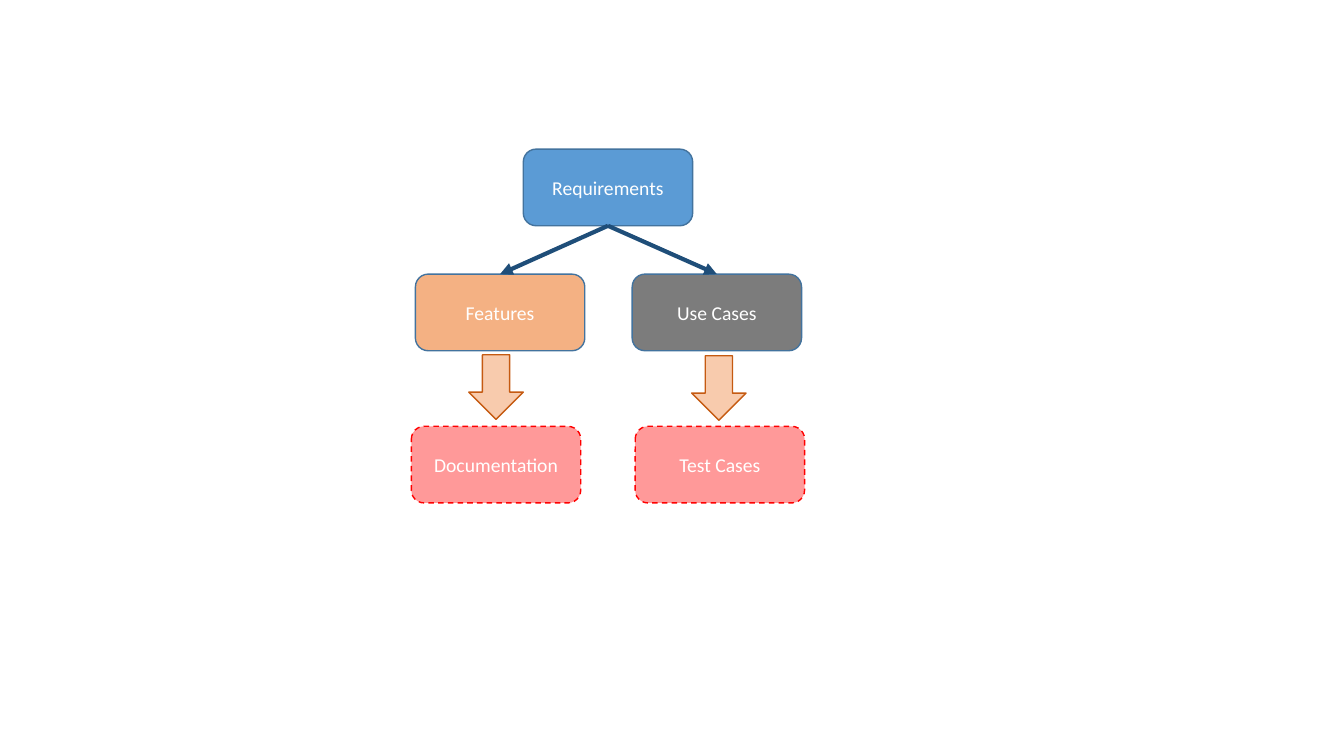
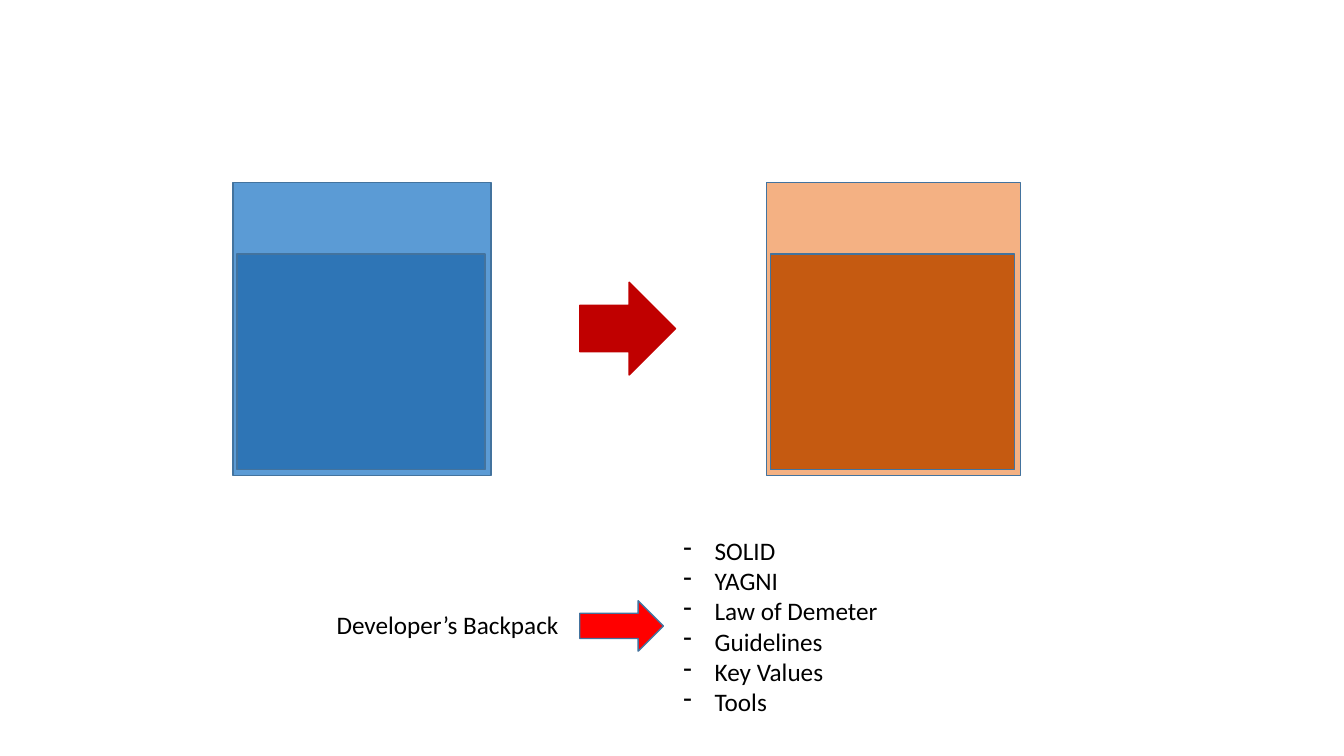
import pptx
import pptx.util
import pptx.dml.color
import pptx.enum.dml
import pptx.enum.shapes
import pptx.enum.text
import pptx.oxml.ns
import lxml.etree

Inches = pptx.util.Inches
Pt = pptx.util.Pt
SHAPES = pptx.enum.shapes.MSO_SHAPE
FONT = "Calibri"
BLUE, ORANGE, OUTLINE = "5B9BD5", "F4B183", "43739E"
RUST, RED, DARK_RED, NAVY = "C55A11", "FF0000", "C00000", "1F4E79"

# Slide 1: label, left, top, fill, line colour, dashed
BOX_SIZE = (1.68, 0.76)
BOXES = [
    ("Requirements", 5.19, 1.48, BLUE, OUTLINE, False),
    ("Features", 4.12, 2.72, ORANGE, OUTLINE, False),
    ("Use Cases", 6.27, 2.72, "7C7C7C", OUTLINE, False),
    ("Documentation", 4.08, 4.23, "FF9999", RED, True),
    ("Test Cases", 6.3, 4.23, "FF9999", RED, True),
]
BRANCHES = [("Requirements", "Use Cases"), ("Requirements", "Features")]
DOWN_ARROWS = [(4.65, 3.52), (6.86, 3.53)]
DOWN_ARROW_SIZE = (0.54, 0.64)

# Slide 2: left, width, fill of the container and of its contents
CONTAINERS = [(2.31, 2.56, BLUE, "2E75B6"), (7.6, 2.52, ORANGE, RUST)]
CONTAINER_TOP, CONTAINER_HEIGHT = 1.81, 2.91
CONTENT_TOP, CONTENT_HEIGHT, CONTENT_INSET = 2.52, 2.14, 0.04
RIGHT_ARROWS = [
    ((5.75, 2.8, 0.95, 0.92), DARK_RED, DARK_RED),
    ((5.75, 5.96, 0.83, 0.5), RED, OUTLINE),
]
BACKPACK = "Developer’s Backpack"
BACKPACK_ITEMS = ["SOLID", "YAGNI", "Law of Demeter", "Guidelines", "Key Values", "Tools"]


def color(hex_text):
    """Turn a hex string into a colour."""
    return pptx.dml.color.RGBColor.from_string(hex_text)


def style_font(paragraph, size, hex_text):
    """Set the font of a whole paragraph."""
    paragraph.font.name = FONT
    paragraph.font.size = Pt(size)
    paragraph.font.color.rgb = color(hex_text)


def add_block(slide, kind, box, fill, line):
    """Add a filled, outlined preset shape; box is left, top, width, height."""
    shape = slide.shapes.add_shape(kind, *map(Inches, box))
    shape.shadow.inherit = False
    shape.fill.solid()
    shape.fill.fore_color.rgb = color(fill)
    shape.line.color.rgb = color(line)
    shape.line.width = Pt(1)
    return shape


def add_label_box(slide, label, left, top, fill, line, dashed):
    """Add a rounded box with a centred white label."""
    shape = add_block(slide, SHAPES.ROUNDED_RECTANGLE, (left, top, *BOX_SIZE), fill, line)
    if dashed:
        shape.line.dash_style = pptx.enum.dml.MSO_LINE.DASH
    shape.text_frame.vertical_anchor = pptx.enum.text.MSO_ANCHOR.MIDDLE
    paragraph = shape.text_frame.paragraphs[0]
    paragraph.text = label
    paragraph.alignment = pptx.enum.text.PP_ALIGN.CENTER
    style_font(paragraph, 14, "FFFFFF")
    return shape


def add_branch(slide, parent, child):
    """Draw an arrow from the bottom of one box to the top of another."""
    connector = slide.shapes.add_connector(pptx.enum.shapes.MSO_CONNECTOR.STRAIGHT, 0, 0, 0, 0)
    connector.begin_connect(parent, 2)
    connector.end_connect(child, 0)
    connector.line.color.rgb = color(NAVY)
    connector.line.width = Pt(3)
    qn = pptx.oxml.ns.qn
    properties = connector.element.spPr
    lxml.etree.SubElement(properties.find(qn("a:ln")), qn("a:tailEnd"), type="triangle")
    lxml.etree.SubElement(properties, qn("a:effectLst"))


def add_text(slide, lines, box, bullet=None):
    """Add a text box that does not wrap, with an optional bullet character."""
    frame = slide.shapes.add_textbox(*map(Inches, box)).text_frame
    frame.word_wrap = False
    frame.auto_size = pptx.enum.text.MSO_AUTO_SIZE.SHAPE_TO_FIT_TEXT
    frame.text = "\n".join(lines)
    for paragraph in frame.paragraphs:
        style_font(paragraph, 18, "000000")
        if bullet:
            properties = paragraph._p.get_or_add_pPr()
            properties.set("marL", str(Inches(0.31)))
            properties.set("indent", str(-Inches(0.31)))
            character = lxml.etree.Element(pptx.oxml.ns.qn("a:buChar"), char=bullet)
            properties.insert(0, character)


def build_requirements(slide):
    """Build the tree from requirements to documents and tests."""
    boxes = {row[0]: add_label_box(slide, *row) for row in BOXES}
    for parent, child in BRANCHES:
        add_branch(slide, boxes[parent], boxes[child])
    for position in DOWN_ARROWS:
        add_block(slide, SHAPES.DOWN_ARROW, position + DOWN_ARROW_SIZE, "F8CBAD", RUST)


def build_backpack(slide):
    """Build the two containers and the backpack list."""
    for left, width, fill, content_fill in CONTAINERS:
        container = (left, CONTAINER_TOP, width, CONTAINER_HEIGHT)
        content = (left + CONTENT_INSET, CONTENT_TOP, width - 0.1, CONTENT_HEIGHT)
        add_block(slide, SHAPES.RECTANGLE, container, fill, OUTLINE)
        add_block(slide, SHAPES.RECTANGLE, content, content_fill, OUTLINE)
    for box, fill, line in RIGHT_ARROWS:
        add_block(slide, SHAPES.RIGHT_ARROW, box, fill, line)
    add_text(slide, BACKPACK_ITEMS, (6.68, 5.26, 2.15, 1.92), bullet="-")
    add_text(slide, [BACKPACK], (3.24, 6, 2.43, 0.4))


presentation = pptx.Presentation()
presentation.slide_width = Inches(13.33)
presentation.slide_height = Inches(7.5)
for build in (build_requirements, build_backpack):
    build(presentation.slides.add_slide(presentation.slide_layouts[6]))
presentation.save("out.pptx")
